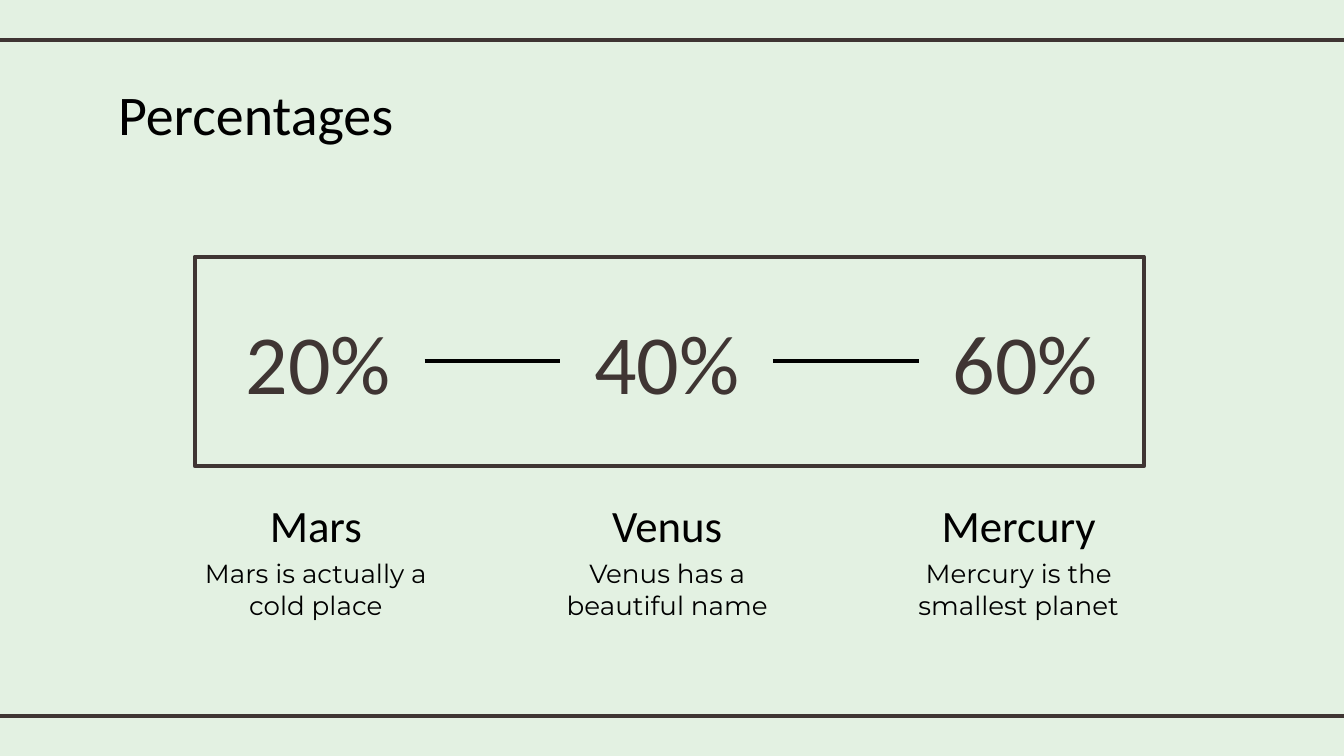
from lxml import etree
from pptx import Presentation
from pptx.dml.color import RGBColor
from pptx.enum.shapes import MSO_CONNECTOR, MSO_SHAPE
from pptx.enum.text import MSO_ANCHOR, PP_ALIGN
from pptx.oxml.ns import qn
from pptx.util import Inches, Pt

STRAIGHT = MSO_CONNECTOR.STRAIGHT
RECTANGLE = MSO_SHAPE.RECTANGLE
LEFT, CENTER = PP_ALIGN.LEFT, PP_ALIGN.CENTER
TOP, MIDDLE = MSO_ANCHOR.TOP, MSO_ANCHOR.MIDDLE
LEFT_SIDE, RIGHT_SIDE = 1, 3

# Content
TITLE = "Percentages"
PLANETS = [  # percentage, its left edge, name, fact
    ("20%", 1.58, "Mars", "Mars is actually a cold place"),
    ("40%", 4.17, "Venus", "Venus has a beautiful name"),
    ("60%", 6.84, "Mercury", "Mercury is the smallest planet"),
]

# Look and layout
MINT, BROWN, BLACK = "E3F1E2", "3F3533", "000000"
HEADING, BODY = "Calibri", "Montserrat"
LINE_WIDTH = 2.25
PAGE_WIDTH = 10
PAGE_HEIGHT = PAGE_WIDTH * 9 / 16
RULE_TOPS = (0.3, 5.33)
FIRST_CENTER, COLUMN_STEP = 2.35, 2.615
NAME_WIDTH, FACT_WIDTH = 1.8, 2.02


def color(value):
    return RGBColor.from_string(value)


def add_text(slide, text, left, top, width, height, size, font=HEADING,
             fill=BLACK, align=CENTER, anchor=TOP):
    box = slide.shapes.add_textbox(Inches(left), Inches(top), Inches(width), Inches(height))
    frame = box.text_frame
    frame.word_wrap = True
    frame.vertical_anchor = anchor
    frame.margin_left = frame.margin_right = Inches(0.1)
    frame.margin_top = frame.margin_bottom = Inches(0.1)
    para = frame.paragraphs[0]
    para.text = text
    para.alignment = align
    para.font.name = font
    para.font.size = Pt(size)
    para.font.color.rgb = color(fill)
    return box


def add_line(slide, left, right, top, stroke):
    line = slide.shapes.add_connector(
        STRAIGHT, Inches(left), Inches(top), Inches(right), Inches(top))
    line.line.color.rgb = color(stroke)
    line.line.width = Pt(LINE_WIDTH)
    etree.SubElement(line._element.spPr, qn("a:effectLst"))
    return line


deck = Presentation()
deck.slide_width, deck.slide_height = Inches(PAGE_WIDTH), Inches(PAGE_HEIGHT)
slide = deck.slides.add_slide(deck.slide_layouts[6])
slide.background.fill.solid()
slide.background.fill.fore_color.rgb = color(MINT)

# Rules across the page and title
for top in RULE_TOPS:
    add_line(slide, -0.08, 10.08, top, BROWN)
add_text(slide, TITLE, 0.78, 0.49, 3.49, 0.63, 30, align=LEFT)

# Frame around the percentages
frame_box = slide.shapes.add_shape(
    RECTANGLE, Inches(1.45), Inches(1.91), Inches(7.06), Inches(1.56))
frame_box.shadow.inherit = False
frame_box.fill.background()
frame_box.line.color.rgb = color(BROWN)
frame_box.line.width = Pt(LINE_WIDTH)
etree.SubElement(frame_box.line._get_or_add_ln(), qn("a:round"))

# One column per planet
percentages = []
for column, (percentage, left, name, fact) in enumerate(PLANETS):
    center = FIRST_CENTER + column * COLUMN_STEP
    percentages.append(add_text(slide, percentage, left, 2.22, 1.58, 0.93, 45,
                                fill=BROWN, anchor=MIDDLE))
    add_text(slide, name, center - NAME_WIDTH / 2, 3.6, NAME_WIDTH, 0.48, 24)
    add_text(slide, fact, center - FACT_WIDTH / 2, 4.05, FACT_WIDTH, 0.63, 14, BODY)

# Links between neighbouring percentages
for before, after in zip(percentages, percentages[1:]):
    link = add_line(slide, 0, 1, 2.69, BLACK)
    link.begin_connect(before, RIGHT_SIDE)
    link.end_connect(after, LEFT_SIDE)

deck.save("out.pptx")
